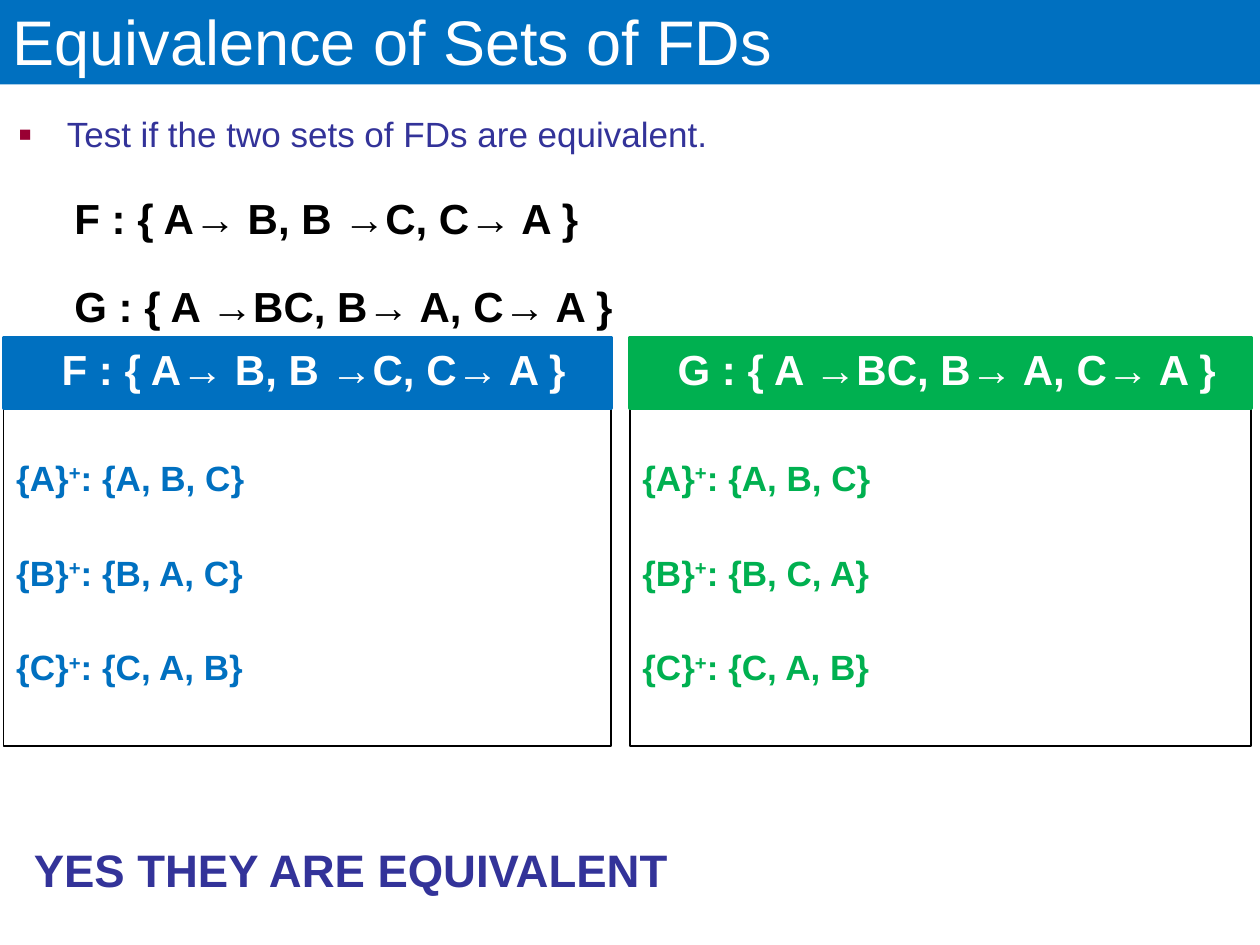
import pptx
import pptx.dml.color
import pptx.enum.shapes
import pptx.enum.text
import pptx.oxml
import pptx.oxml.ns
import pptx.util
from pptx.util import Inches

RGBColor = pptx.dml.color.RGBColor
ALIGN = pptx.enum.text.PP_ALIGN
ANCHOR = pptx.enum.text.MSO_ANCHOR

BLUE = RGBColor(0x00, 0x70, 0xC0)
GREEN = RGBColor(0x00, 0xB0, 0x50)
INDIGO = RGBColor(0x33, 0x33, 0x99)
BLACK = RGBColor(0x00, 0x00, 0x00)
WHITE = RGBColor(0xFF, 0xFF, 0xFF)

SET_F = "F : { A→ B, B →C, C→ A }"
SET_G = "G : { A →BC, B→ A, C→ A }"
HEADER_TOP, HEADER_HEIGHT, PANEL_HEIGHT = 2.68, 0.56, 2.68


def place(box, left, top, width, height):
    box.left, box.top = Inches(left), Inches(top)
    box.width, box.height = Inches(width), Inches(height)


def prepare_frame(box, anchor=ANCHOR.TOP, right=0):
    frame = box.text_frame
    frame.word_wrap = True
    frame.auto_size = pptx.enum.text.MSO_AUTO_SIZE.NONE
    frame.vertical_anchor = anchor
    frame.margin_left, frame.margin_right = Inches(0.1), Inches(right)
    frame.margin_top = frame.margin_bottom = Inches(0.05)
    return frame


def write_line(frame, text, size=20, color=BLACK, bold=False,
               spacing=1.0, align=ALIGN.LEFT, level=0):
    first = not frame.text
    para = frame.paragraphs[0] if first else frame.add_paragraph()
    para.alignment = align
    para.level = level
    para.line_spacing = spacing
    para.space_before = pptx.util.Pt(2 if first else round(size * 0.3))
    for part in text.replace("+", "|+|").split("|"):
        span = para.add_run()
        span.text = part
        span.font.name = "Arial"
        span.font.size = pptx.util.Pt(size)
        span.font.bold = bold
        span.font.color.rgb = color
        if part == "+":
            span.font._element.set("baseline", "30000")
    return para


def set_bullet(para, margin, indent, *bullet_xml):
    properties = para._p.get_or_add_pPr()
    properties.set("marL", str(Inches(margin)))
    properties.set("indent", str(Inches(indent)))
    for xml in bullet_xml:
        tag, rest = xml.split(" ", 1)
        namespace = pptx.oxml.ns.nsdecls("a")
        properties.append(pptx.oxml.parse_xml(f"<a:{tag} {namespace} {rest}"))


def add_rectangle(page, left, top, width, height, fill, line, line_width):
    box = page.shapes.add_shape(
        pptx.enum.shapes.MSO_SHAPE.RECTANGLE,
        Inches(left), Inches(top), Inches(width), Inches(height))
    box.shadow.inherit = False
    if fill is None:
        box.fill.background()
    else:
        box.fill.solid()
        box.fill.fore_color.rgb = fill
    box.line.color.rgb = line
    box.line.width = pptx.util.Pt(line_width)
    return prepare_frame(box)


def add_closure_panel(page, left, width, color, heading, closures):
    panel = add_rectangle(page, left, HEADER_TOP + HEADER_HEIGHT, width,
                          PANEL_HEIGHT, None, BLACK, 0.75)
    for closure in closures:
        write_line(panel, closure, color=color, bold=True, spacing=2.0)
    header = add_rectangle(page, left, HEADER_TOP, width, HEADER_HEIGHT,
                           color, color, 2)
    write_line(header, heading, size=24, color=WHITE, bold=True,
               align=ALIGN.CENTER)


def fill_title(page):
    title = page.shapes.title
    place(title, 0, 0, 10, 0.67)
    title.fill.solid()
    title.fill.fore_color.rgb = BLUE
    frame = prepare_frame(title, anchor=ANCHOR.BOTTOM, right=0.1)
    write_line(frame, "Equivalence of Sets of FDs", size=36, color=WHITE)


def fill_body(page):
    body = page.placeholders[1]
    place(body, 0.05, 0.68, 9.88, 1.89)
    frame = prepare_frame(body)
    question = write_line(frame, "Test if the two sets of FDs are equivalent.",
                          color=INDIGO, spacing=1.5)
    set_bullet(question, 0.38, -0.38,
               'buClr ><a:srgbClr val="990033"/></a:buClr>',
               'buSzPct val="60000"/>',
               'buFont typeface="Arial"/>',
               'buChar char="■"/>')
    for dependencies in (SET_F, SET_G):
        para = write_line(frame, dependencies, size=24, bold=True,
                          spacing=1.5, level=1)
        set_bullet(para, 0.44, 0, "buNone />")


def add_conclusion(page):
    box = page.shapes.add_textbox(Inches(0.17), Inches(6.42),
                                  Inches(9.63), Inches(0.83))
    write_line(prepare_frame(box), "YES THEY ARE EQUIVALENT", size=26,
               color=INDIGO, bold=True, spacing=1.5)


def main():
    deck = pptx.Presentation()
    deck.slide_width, deck.slide_height = Inches(10), Inches(7.5)
    page = deck.slides.add_slide(deck.slide_layouts[1])
    fill_title(page)
    fill_body(page)
    add_closure_panel(page, 0.03, 4.82, BLUE, SET_F,
                      ("{A}+: {A, B, C}", "{B}+: {B, A, C}", "{C}+: {C, A, B}"))
    add_closure_panel(page, 5, 4.93, GREEN, SET_G,
                      ("{A}+: {A, B, C}", "{B}+: {B, C, A}", "{C}+: {C, A, B}"))
    add_conclusion(page)
    deck.save("out.pptx")


if __name__ == "__main__":
    main()
